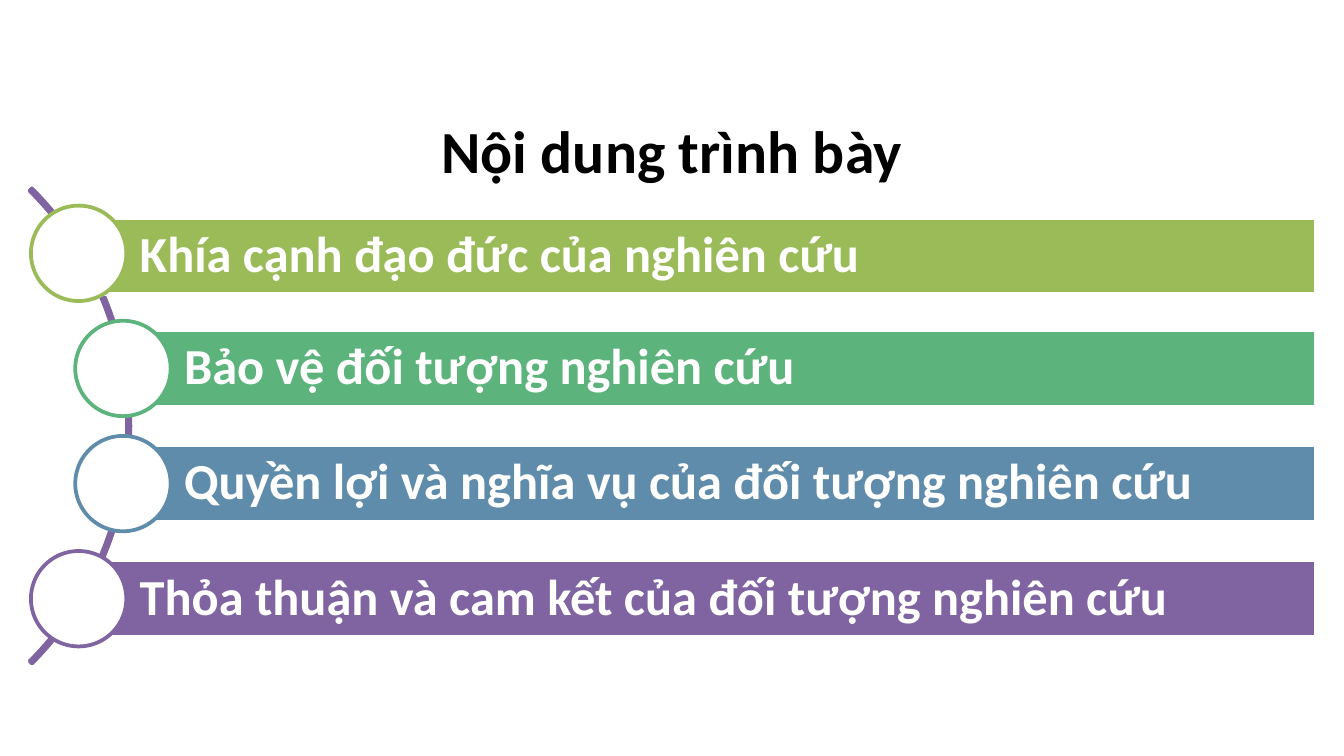
from dataclasses import dataclass

import pptx
import pptx.dml.color
import pptx.enum.shapes
import pptx.enum.text
import pptx.util
from pptx.util import Inches

SHAPES = pptx.enum.shapes.MSO_SHAPE
ALIGN = pptx.enum.text.PP_ALIGN


@dataclass(frozen=True)
class Theme:
    font: str = "Calibri"
    title_size: int = 32
    topic_size: int = 27
    line_width: int = 2
    ink: str = "000000"
    paper: str = "FFFFFF"
    arc: str = "8064A2"


@dataclass(frozen=True)
class Topic:
    text: str
    color: str
    bar_left: float
    bar_drop: float = 0.07  # from the top of the circle to the top of the bar


THEME = Theme()
OUTER, INNER = 0.59, 0.92
TOPICS = (
    Topic("Khía cạnh đạo đức của nghiên cứu", "9BBB59", OUTER, 0.09),
    Topic("Bảo vệ đối tượng nghiên cứu", "5CB37C", INNER),
    Topic("Quyền lợi và nghĩa vụ của đối tượng nghiên cứu", "608CAB", INNER),
    Topic("Thỏa thuận và cam kết của đối tượng nghiên cứu", "8064A2", OUTER),
)
FIRST_TOP, LAST_TOP = 1.53, 4.1
PITCH = (LAST_TOP - FIRST_TOP) / (len(TOPICS) - 1)
BAR_RIGHT, BAR_HEIGHT = 9.79, 0.57
CIRCLE_SIZE, CIRCLE_OVERHANG = 0.71, 0.36


def rgb(color: str) -> pptx.dml.color.RGBColor:
    return pptx.dml.color.RGBColor.from_string(color)


def add_outlined(page, kind, left: float, top: float, width: float, height: float,
                 line: str, fill: str | None = None):
    shape = page.shapes.add_shape(kind, Inches(left), Inches(top), Inches(width), Inches(height))
    shape.shadow.inherit = False
    if fill:
        shape.fill.solid()
        shape.fill.fore_color.rgb = rgb(fill)
    else:
        shape.fill.background()
    shape.line.color.rgb = rgb(line)
    shape.line.width = pptx.util.Pt(THEME.line_width)
    return shape


def write(shape, text: str, size: int, color: str, align, insets: tuple[float, float, float, float]):
    """Write one bold line; insets run left, top, right, bottom."""
    frame = shape.text_frame
    frame.word_wrap = True
    frame.vertical_anchor = pptx.enum.text.MSO_ANCHOR.MIDDLE
    (frame.margin_left, frame.margin_top,
     frame.margin_right, frame.margin_bottom) = map(Inches, insets)
    para = frame.paragraphs[0]
    para.alignment = align
    span = para.add_run()
    span.text = text
    span.font.name = THEME.font
    span.font.size = pptx.util.Pt(size)
    span.font.bold = True
    span.font.color.rgb = rgb(color)
    return para


def add_title(page, text: str) -> None:
    box = page.shapes.add_textbox(Inches(0.5), Inches(0.64), Inches(9), Inches(0.94))
    write(box, text, THEME.title_size, THEME.ink, ALIGN.CENTER, (0.07, 0.04, 0.07, 0.04))


def add_arc(page) -> None:
    arc = add_outlined(page, SHAPES.BLOCK_ARC, -4.03, 0.67, 5, 5, THEME.arc)
    # Angles in units of 100000/60000 degree: from 315 to 45 degrees, then thickness
    for index, value in enumerate((189, 27, 0.005)):
        arc.adjustments[index] = value


def add_topic(page, topic: Topic, top: float) -> None:
    bar = add_outlined(page, SHAPES.RECTANGLE, topic.bar_left, top + topic.bar_drop,
                       BAR_RIGHT - topic.bar_left, BAR_HEIGHT, THEME.paper, topic.color)
    para = write(bar, topic.text, THEME.topic_size, THEME.paper, ALIGN.LEFT,
                 (0.45, 0.07, 0.07, 0.07))
    para.line_spacing = 0.9
    add_outlined(page, SHAPES.OVAL, topic.bar_left - CIRCLE_OVERHANG, top,
                 CIRCLE_SIZE, CIRCLE_SIZE, topic.color, THEME.paper)


def main() -> None:
    deck = pptx.Presentation()
    deck.slide_width = Inches(10)
    deck.slide_height = deck.slide_width * 9 // 16
    page = deck.slides.add_slide(deck.slide_layouts[6])
    add_title(page, "Nội dung trình bày")
    add_arc(page)
    for index, topic in enumerate(TOPICS):
        add_topic(page, topic, FIRST_TOP + index * PITCH)
    deck.save("out.pptx")


if __name__ == "__main__":
    main()
